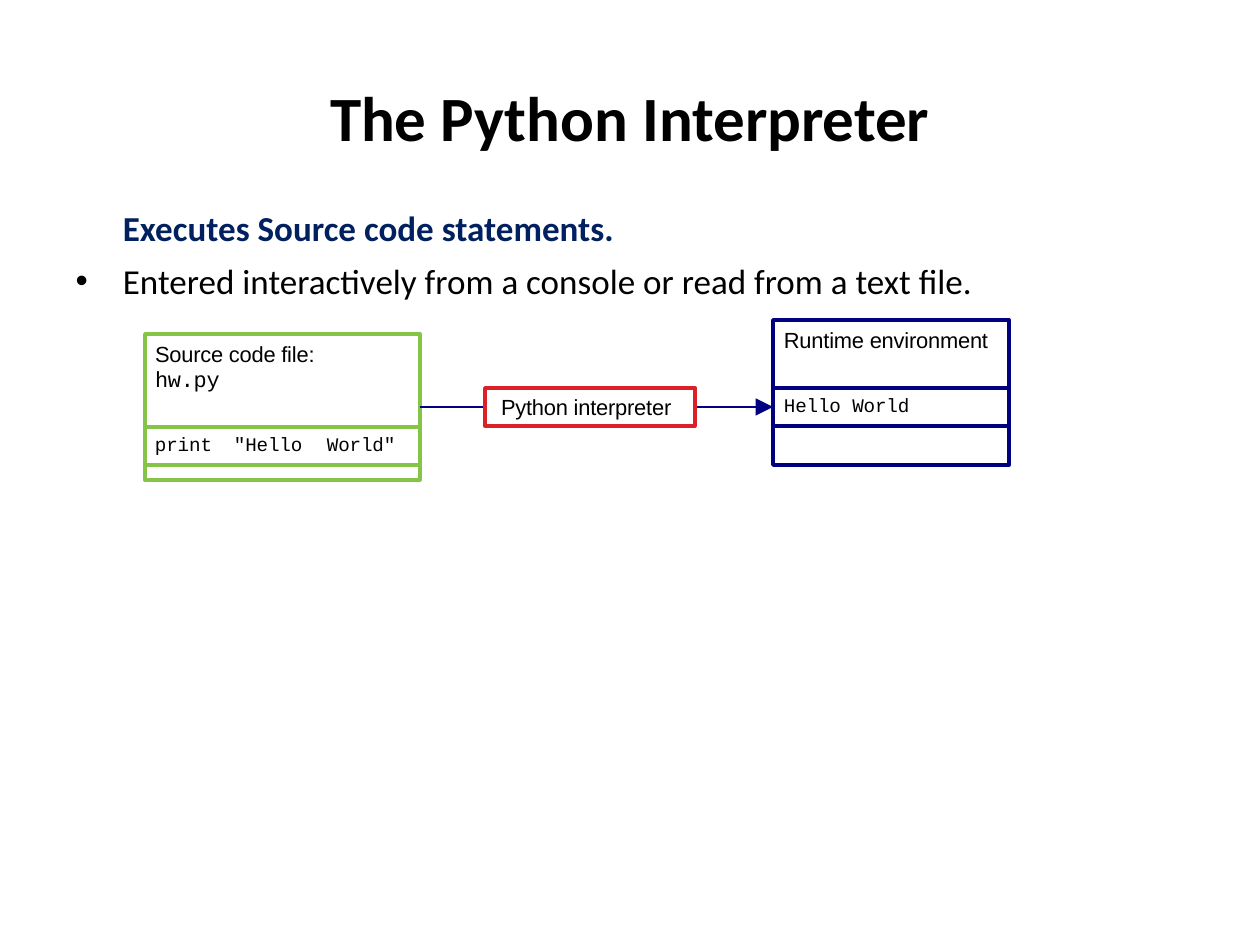
"""Build a slide that shows how the Python interpreter runs a source file."""
from lxml import etree
from pptx import Presentation
from pptx.dml.color import RGBColor
from pptx.enum.shapes import MSO_CONNECTOR, MSO_SHAPE
from pptx.oxml.ns import qn
from pptx.util import Pt

RECTANGLE = MSO_SHAPE.RECTANGLE
STRAIGHT = MSO_CONNECTOR.STRAIGHT
LEFT_SIDE, RIGHT_SIDE = 1, 3
GREEN, RED, NAVY = "84C446", "DB2028", "000080"
BLACK, WHITE, DARK_BLUE = "000000", "FFFFFF", "002060"
ARIAL = {"name": "Arial", "size": Pt(12.5)}
COURIER = {"name": "Courier New", "size": Pt(12.5)}
CODE = {"name": "Courier New", "size": Pt(11)}


def px(length):
    return round(length * 914400 / 126)


def style_run(run, color, formats):
    for attribute, value in formats.items():
        setattr(run.font, attribute, value)
    run.font.color.rgb = RGBColor.from_string(color)


prs = Presentation()
prs.slide_width, prs.slide_height = px(1260), px(945)
slide = prs.slides.add_slide(prs.slide_layouts[1])
title, body = slide.placeholders
for holder, top, height in ((title, 38, 157), (body, 179, 567)):
    holder.left, holder.top = px(63), px(top)
    holder.width, holder.height = px(1134), px(height)

heading = title.text_frame.paragraphs[0].add_run()
heading.text = "The Python Interpreter"
style_run(heading, BLACK, {"name": "Calibri", "size": Pt(36), "bold": True})

statement = body.text_frame.paragraphs[0]
etree.SubElement(statement._p.get_or_add_pPr(), qn("a:buNone"))
entry = body.text_frame.add_paragraph()
for paragraph, text, size, color, bold in (
    (statement, "\t", 32, BLACK, True),
    (statement, "Executes Source code statements.", 20, DARK_BLUE, True),
    (entry, "Entered interactively from a console or read from a text file.", 20, BLACK, False),
):
    run = paragraph.add_run()
    run.text = text
    style_run(run, color, {"name": "Calibri", "size": Pt(size), "bold": bold})

boxes = {}
for part, left, top, width, height, color in (
    ("source file", 145, 334, 275, 146, GREEN),
    ("source code", 145, 427, 275, 38, GREEN),
    ("runtime", 773, 320, 236, 145, NAVY),
    ("output", 773, 388, 236, 38, NAVY),
    ("interpreter", 485, 388, 210, 38, RED),
):
    box = slide.shapes.add_shape(RECTANGLE, px(left), px(top), px(width), px(height))
    box.shadow.inherit = False
    box.fill.background()
    box.line.color.rgb = RGBColor.from_string(color)
    box.line.width = Pt(2)
    boxes[part] = box

flow = slide.shapes.add_connector(STRAIGHT, px(420), px(407), px(773), px(407))
flow.begin_connect(boxes["source file"], RIGHT_SIDE)
flow.end_connect(boxes["output"], LEFT_SIDE)
flow.line.color.rgb = RGBColor.from_string(NAVY)
flow.line.width = Pt(1)
etree.SubElement(flow.line._get_or_add_ln(), qn("a:tailEnd"), type="triangle", w="lg", len="lg")
etree.SubElement(flow._element.spPr, qn("a:effectLst"))

interpreter = boxes["interpreter"]
interpreter.fill.solid()
interpreter.fill.fore_color.rgb = RGBColor.from_string(WHITE)
flow._element.addnext(interpreter._element)

for left, top, width, height, lines in (
    (784, 328, 215, 25, [("Runtime environment", ARIAL)]),
    (155, 342, 170, 52, [("Source code file:", ARIAL), ("hw.py", COURIER)]),
    (501, 395, 182, 25, [("Python interpreter", ARIAL)]),
    (784, 392, 151, 25, [("Hello World", CODE)]),
    (155, 431, 73, 25, [("print", CODE)]),
    (234, 431, 86, 25, [('"Hello', CODE)]),
    (327, 431, 86, 25, [('World"', CODE)]),
):
    frame = slide.shapes.add_textbox(px(left), px(top), px(width), px(height)).text_frame
    frame.word_wrap = True
    for margin in ("margin_left", "margin_top", "margin_right", "margin_bottom"):
        setattr(frame, margin, 0)
    for number, (text, font) in enumerate(lines):
        paragraph = frame.add_paragraph() if number else frame.paragraphs[0]
        paragraph.line_spacing = Pt(14)
        paragraph.space_before = Pt(0.7)
        run = paragraph.add_run()
        run.text = text
        style_run(run, BLACK, font)
        run.font._element.set("spc", "-10")

prs.save("out.pptx")
